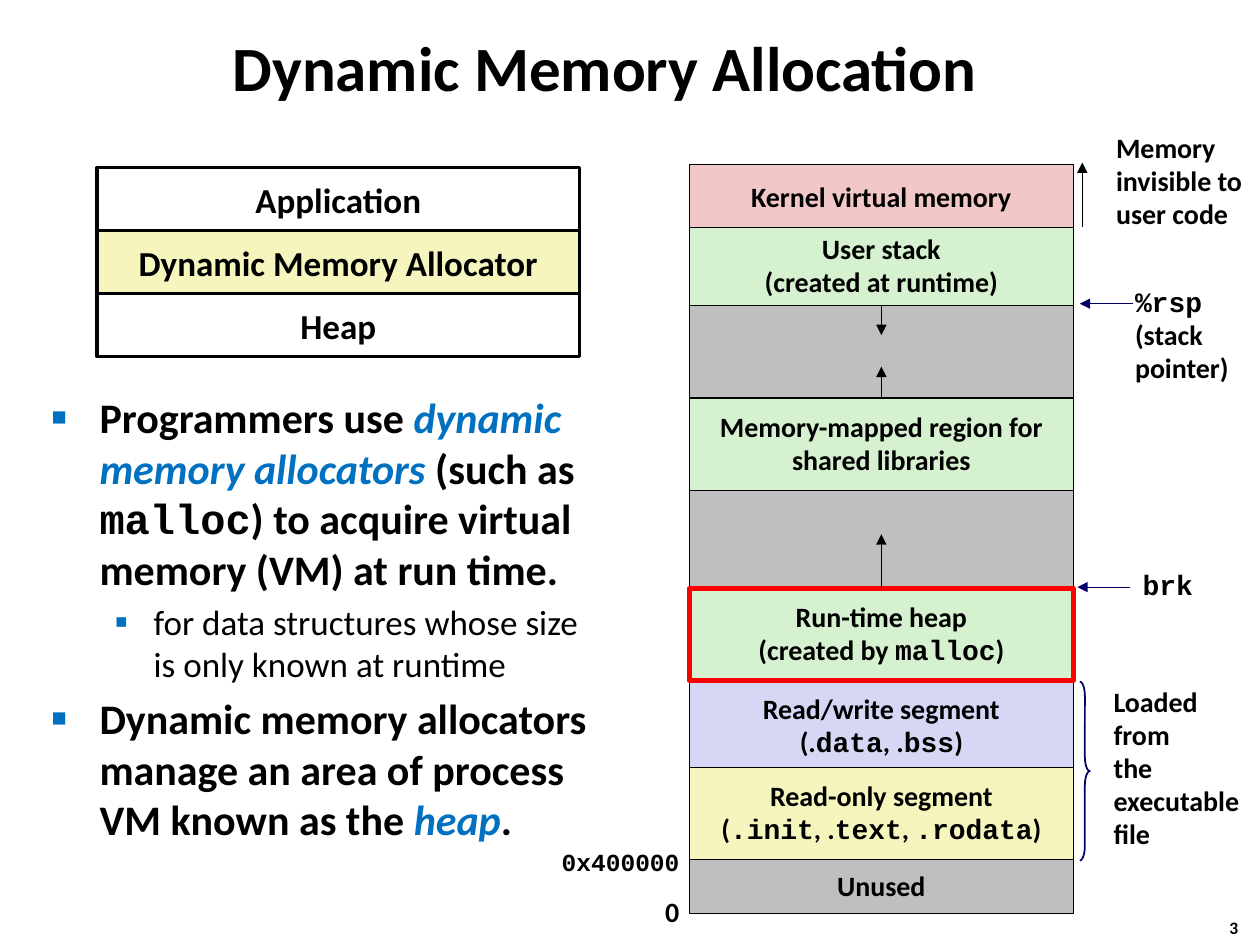
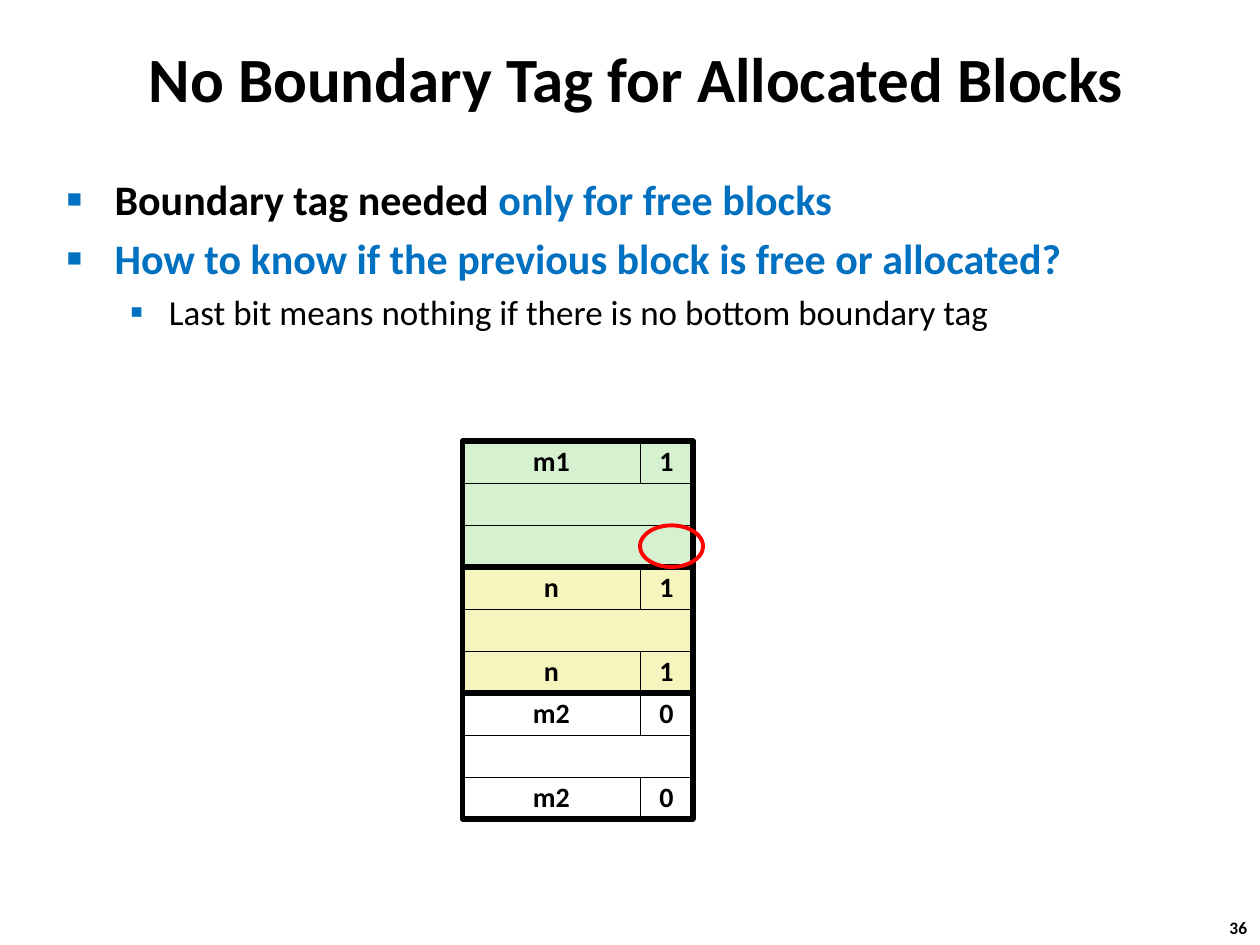
"""Builds two lecture slides on dynamic memory allocation."""
from dataclasses import dataclass

from lxml.etree import SubElement
from pptx import Presentation
from pptx.dml.color import RGBColor
from pptx.enum.shapes import MSO_CONNECTOR, MSO_SHAPE as SHAPE
from pptx.enum.text import MSO_ANCHOR as ANCHOR, MSO_AUTO_SIZE as FIT, PP_ALIGN as ALIGN
from pptx.oxml.ns import qn
from pptx.util import Inches, Pt


@dataclass(frozen=True)
class Theme:
    black: str = "000000"
    white: str = "FFFFFF"
    blue: str = "0070C0"
    navy: str = "000066"
    red: str = "FF0000"
    pink: str = "F1C7C7"
    green: str = "D5F1CF"
    yellow: str = "F6F5BD"
    lilac: str = "D6D6F5"
    gray: str = "BFBFBF"
    sans: str = "Calibri"
    mono: str = "Courier New"
    title: int = 36
    layer: int = 20
    label: int = 16
    address: int = 14
    page: int = 10
    hairline: float = 0.25


THEME = Theme()
STYLES = {
    "plain": {},
    "code": {"name": THEME.mono},
    "key": {"color": THEME.blue},
    "term": {"color": THEME.blue, "italic": True},
}
LEVELS = [
    {"size": 24, "bold": True, "bullet": "■", "scale": 60, "margin": 0.38, "hang": 0.38},
    {"size": 20, "bold": False, "bullet": "▪", "scale": 110, "margin": 0.81, "hang": 0.31},
]

ALLOCATION = {
    "title": "Dynamic Memory Allocation",
    "title_at": (0.65, 0.11, 8.3, 0.83),
    "body_at": (0.31, 3.06, 4.48, 4.17),
    "page": "3",
    "bullets": [
        (0, ["Programmers use ", ("dynamic memory allocators ", "term"), "(such as ",
             ("malloc", "code"), ") to acquire virtual memory (VM) at run time."]),
        (1, ["for data structures whose size is only known at runtime"]),
        (0, ["Dynamic memory allocators manage an area of process VM known as the ",
             ("heap", "term"), "."]),
    ],
}
BOUNDARY = {
    "title": "No Boundary Tag for Allocated Blocks",
    "title_at": (0.9, 0.2, 8.3, 0.83),
    "body_at": (0.43, 1.33, 9.23, 0.98),
    "page": "36",
    "bullets": [
        (0, ["Boundary tag needed ", ("only for free blocks", "key")]),
        (0, [("How to know if the previous block is free or allocated?", "key")]),
        (1, ["Last bit means nothing if there is no bottom boundary tag"]),
    ],
}

LAYERS = [("Application", THEME.white), ("Dynamic Memory Allocator", THEME.yellow),
          ("Heap", THEME.white)]
LAYER_LEFT, LAYER_TOP, LAYER_WIDTH, LAYER_HEIGHT = 0.77, 1.33, 3.83, 0.5

REGION_LEFT, REGION_WIDTH = 5.47, 3.05
REGIONS = {
    "kernel": (1.3, 0.53, THEME.pink, ["Kernel virtual memory"]),
    "stack gap": (2.16, 0.99, THEME.gray, []),
    "stack": (1.8, 0.62, THEME.green, ["User stack", "(created at runtime)"]),
    "libraries": (3.16, 0.73, THEME.green, ["Memory-mapped region for", "shared libraries"]),
    "heap gap": (3.89, 0.79, THEME.gray, []),
    "unused": (6.82, 0.43, THEME.gray, ["Unused"]),
    "data": (5.4, 0.73, THEME.lilac,
             ["Read/write segment",
              ["(.", ("data", "code"), ", .", ("bss", "code"), ")"]]),
    "code": (6.09, 0.73, THEME.yellow,
             ["Read-only segment",
              ["(", (".init", "code"), ", .", ("text", "code"), ", ",
               (".rodata", "code"), ")"]]),
    "heap": (4.67, 0.73, THEME.green,
             ["Run-time heap", ["(created by ", ("malloc", "code"), ")"]]),
}
GROWTH = [("stack", 2, 2.66), ("libraries", 0, 2.91), ("heap", 0, 4.24)]
POINTERS = [((8.99, 2.41), (8.57, 2.41), THEME.navy),
            ((8.59, 1.8), (8.59, 1.29), THEME.black),
            ((8.97, 4.66), (8.55, 4.66), THEME.navy)]
NOTES = [
    ((5.18, 7.06, 0.31, 0.37), ["0"], {}),
    ((8.91, 2.22, 0.95, 0.88), [[("%rsp", "code")], "(stack", "pointer)"], {}),
    ((8.76, 1, 1.26, 0.89), ["Memory", "invisible to", "user code"], {}),
    ((8.97, 4.48, 0.6, 0.36), [[("brk", "code")]], {"spacing": 0.94}),
    ((4.36, 6.69, 1.14, 0.33), [[("0x400000", "code")]],
     {"size": THEME.address, "spacing": 0.94}),
    ((8.74, 5.4, 1.26, 1.42), ["Loaded", "from", "the", "executable", "file"], {}),
]
BRACE_AT = (8.57, 5.41, 0.08, 1.42)

BLOCKS = [(THEME.green, [("m1", "1"), None, None]),
          (THEME.yellow, [("n", "1"), None, ("n", "1")]),
          (THEME.white, [("m2", "0"), None, ("m2", "0")])]
BLOCK_LEFT, BLOCK_TOP, WORD_HEIGHT = 3.67, 3.5, 1 / 3
SIZE_WIDTH, FLAG_WIDTH = 1.41, 0.42
MISSING_TAG_AT = (5.08, 4.17, 0.5, 0.33)


def inches(values):
    return [Inches(value) for value in values]


def rgb(color):
    return RGBColor.from_string(color)


def add_bullet(paragraph, level):
    props = paragraph._p.get_or_add_pPr()
    props.set("marL", str(Inches(level["margin"])))
    props.set("indent", str(-Inches(level["hang"])))
    SubElement(SubElement(props, qn("a:buClr")), qn("a:srgbClr"), val=THEME.blue)
    SubElement(props, qn("a:buSzPct"), val=str(level["scale"] * 1000))
    SubElement(props, qn("a:buChar"), char=level["bullet"])


def write(shape, paragraphs, size=THEME.label, align=ALIGN.LEFT, anchor=ANCHOR.TOP,
          spacing=None, wrap=False, fit=FIT.NONE, levels=None):
    frame = shape.text_frame
    frame.word_wrap, frame.auto_size, frame.vertical_anchor = wrap, fit, anchor
    for index, runs in enumerate(paragraphs):
        paragraph = frame.paragraphs[0] if index == 0 else frame.add_paragraph()
        bold, points = True, size
        if levels:
            paragraph.level = levels[index]
            level = LEVELS[levels[index]]
            add_bullet(paragraph, level)
            bold, points = level["bold"], level["size"]
            paragraph.space_before = Pt(0.2 * points if index else 0)
        paragraph.alignment = align
        if spacing:
            paragraph.line_spacing = spacing
        for part in [runs] if isinstance(runs, str) else runs:
            text, style = (part, "plain") if isinstance(part, str) else part
            look = STYLES[style]
            run = paragraph.add_run()
            run.text = text
            run.font.size, run.font.bold = Pt(points), bold
            run.font.name = look.get("name", THEME.sans)
            run.font.italic = look.get("italic", False)
            run.font.color.rgb = rgb(look.get("color", THEME.black))


def add_label(slide, at, paragraphs, **text_format):
    write(slide.shapes.add_textbox(*inches(at)), paragraphs,
          fit=FIT.SHAPE_TO_FIT_TEXT, **text_format)


def add_box(slide, at, fill=None, line=THEME.black, weight=THEME.hairline, kind=SHAPE.RECTANGLE,
            paragraphs=(), **text_format):
    box = slide.shapes.add_shape(kind, *inches(at))
    box.shadow.inherit = False
    if fill:
        box.fill.solid()
        box.fill.fore_color.rgb = rgb(fill)
    else:
        box.fill.background()
    box.line.color.rgb, box.line.width = rgb(line), Pt(weight)
    if paragraphs:
        write(box, paragraphs, align=ALIGN.CENTER, anchor=ANCHOR.MIDDLE, **text_format)
    return box


def add_arrow(slide, start, end, color=THEME.black):
    arrow = slide.shapes.add_connector(MSO_CONNECTOR.STRAIGHT, *inches(start + end))
    arrow.line.color.rgb, arrow.line.width = rgb(color), Pt(THEME.hairline)
    SubElement(arrow.line._get_or_add_ln(), qn("a:tailEnd"), type="triangle")
    SubElement(arrow._element.spPr, qn("a:effectLst"))
    return arrow


def add_slide(deck, content):
    slide = deck.slides.add_slide(deck.slide_layouts[1])
    title, body = slide.shapes.title, slide.placeholders[1]
    for holder, at in ((title, content["title_at"]), (body, content["body_at"])):
        holder.left, holder.top, holder.width, holder.height = inches(at)
    write(title, [content["title"]], size=THEME.title, align=ALIGN.CENTER,
          anchor=ANCHOR.MIDDLE, wrap=True)
    levels, paragraphs = zip(*content["bullets"])
    write(body, paragraphs, levels=levels, wrap=True)
    add_label(slide, (9.66, 7.23, 0.37, 0.27), [content["page"]], size=THEME.page)
    return slide


def draw_layers(slide):
    for index, (layer, fill) in enumerate(LAYERS):
        at = (LAYER_LEFT, LAYER_TOP + index * LAYER_HEIGHT, LAYER_WIDTH, LAYER_HEIGHT)
        add_box(slide, at, fill, weight=2, paragraphs=[layer], size=THEME.layer)


def draw_address_space(slide):
    regions = {}
    for region, (top, height, fill, paragraphs) in REGIONS.items():
        border = {"line": THEME.red, "weight": 3} if region == "heap" else {}
        regions[region] = add_box(slide, (REGION_LEFT, top, REGION_WIDTH, height), fill,
                                  paragraphs=paragraphs, spacing=0.98, **border)
    middle = REGION_LEFT + REGION_WIDTH / 2
    for region, side, tip in GROWTH:
        arrow = add_arrow(slide, (middle, REGIONS[region][0]), (middle, tip))
        arrow.begin_connect(regions[region], side)
    for start, end, color in POINTERS:
        add_arrow(slide, start, end, color)
    for at, paragraphs, text_format in NOTES:
        add_label(slide, at, paragraphs, **{"spacing": 0.98, **text_format})
    brace = add_box(slide, BRACE_AT, line=THEME.navy, weight=1, kind=SHAPE.RIGHT_BRACE)
    brace.adjustments[0] = 1.42


def draw_blocks(slide):
    block_width = SIZE_WIDTH + FLAG_WIDTH
    for number, (fill, words) in enumerate(BLOCKS):
        block_top = BLOCK_TOP + number * len(words) * WORD_HEIGHT
        for row, word in enumerate(words):
            top = block_top + row * WORD_HEIGHT
            if word is None:
                add_box(slide, (BLOCK_LEFT, top, block_width, WORD_HEIGHT), fill)
                continue
            size, flag = word
            for left, width, value in ((BLOCK_LEFT, SIZE_WIDTH, size),
                                       (BLOCK_LEFT + SIZE_WIDTH, FLAG_WIDTH, flag)):
                add_box(slide, (left, top, width, WORD_HEIGHT), fill,
                        paragraphs=[value], spacing=0.98)
        add_box(slide, (BLOCK_LEFT, block_top, block_width, len(words) * WORD_HEIGHT), weight=3)
    add_box(slide, MISSING_TAG_AT, line=THEME.red, weight=2.25, kind=SHAPE.OVAL)


def main():
    deck = Presentation()
    deck.slide_width, deck.slide_height = Inches(10), Inches(7.5)
    allocation = add_slide(deck, ALLOCATION)
    draw_layers(allocation)
    draw_address_space(allocation)
    draw_blocks(add_slide(deck, BOUNDARY))
    deck.save("out.pptx")


if __name__ == "__main__":
    main()
